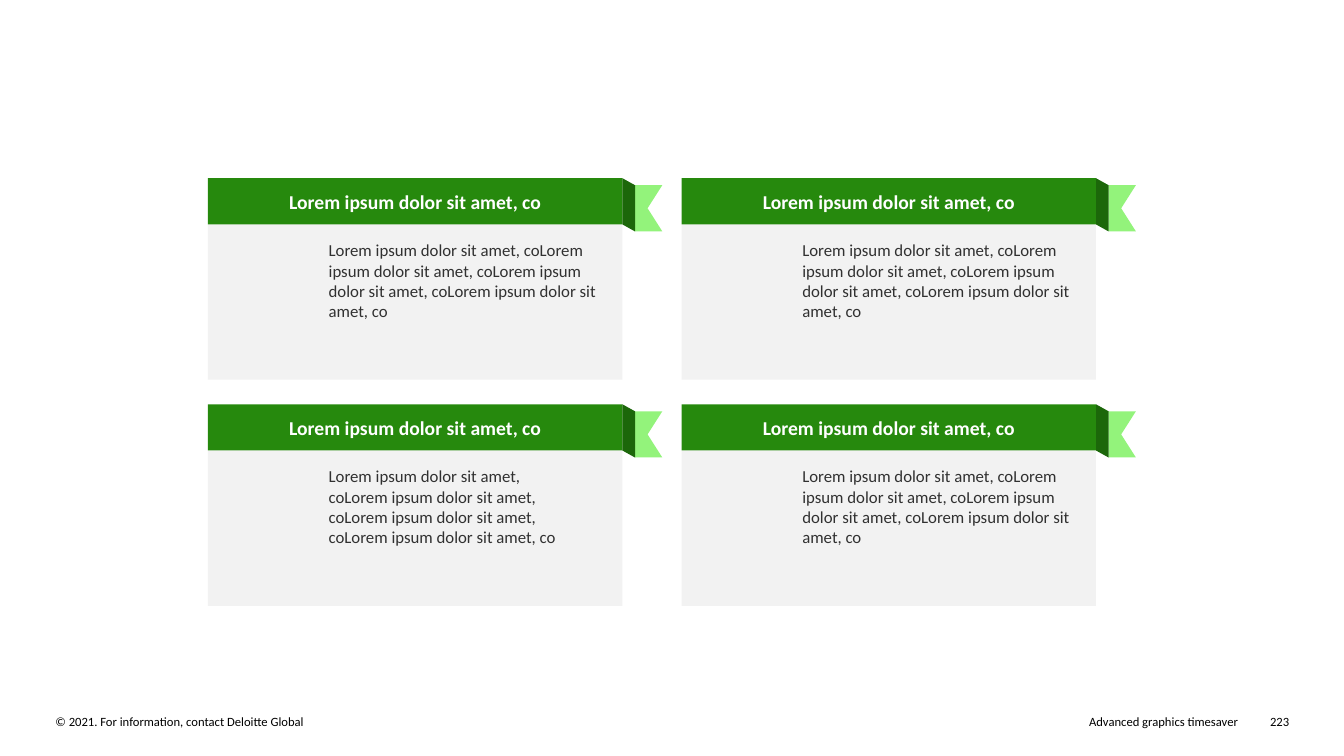
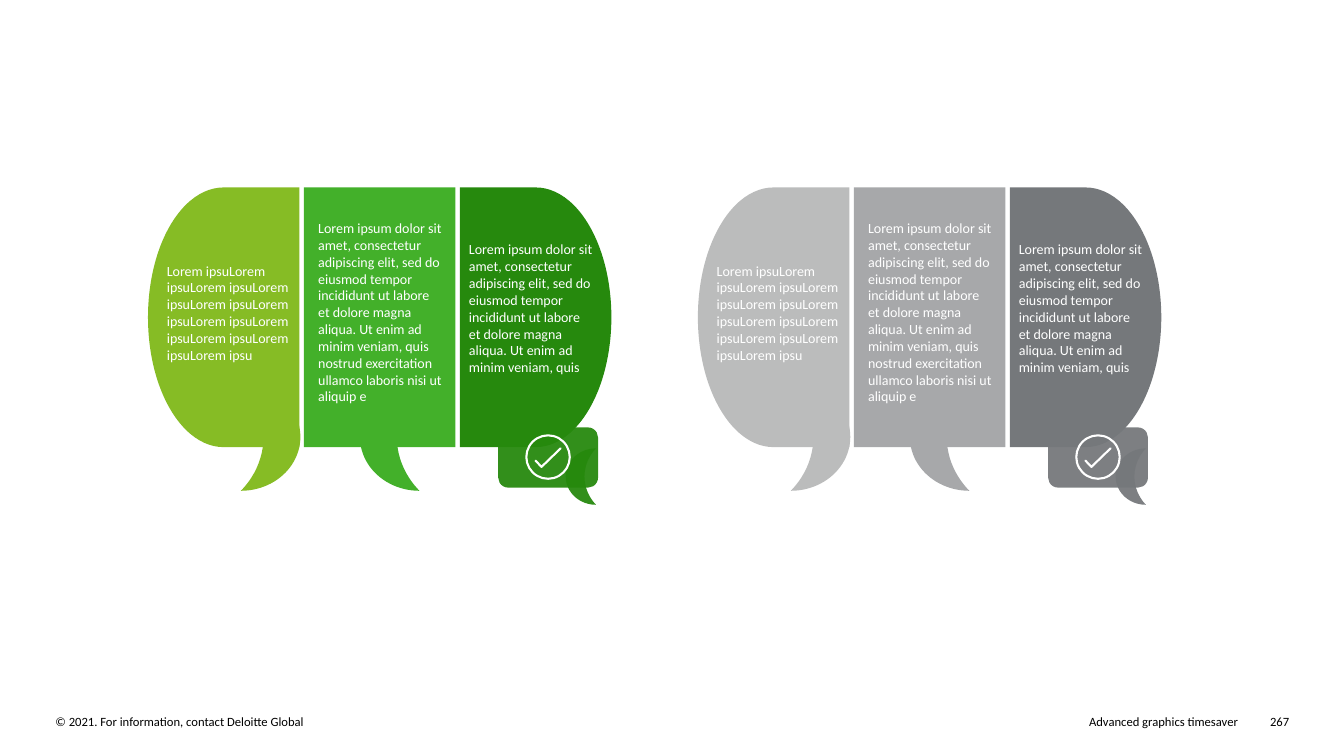
from itertools import product

from lxml.etree import SubElement
from pptx import Presentation
from pptx.dml.color import RGBColor
from pptx.enum.shapes import MSO_SHAPE as SHAPE
from pptx.enum.text import MSO_ANCHOR as ANCHOR, PP_ALIGN as ALIGN
from pptx.oxml.ns import qn
from pptx.util import Pt

FONT = "Calibri"
COLORS = {
    "black": "000000", "white": "FFFFFF", "ink": "313131", "panel": "F2F2F2",
    "green": "26890D", "dark_green": "1C670A", "pale_green": "93F37B",
    "lime": "86BC25", "mid_green": "43B02A",
    "light_grey": "BBBCBC", "mid_grey": "A7A8AA", "dark_grey": "75787B",
}

HEADING = "Lorem ipsum dolor sit amet, co"
CARD_TEXT = HEADING * 4
CARD_LEFT, CARD_TOP, CARD_WIDTH = 148.6, 127.3, 296
HEADER_HEIGHT, BODY_HEIGHT = 33, 111
CARD_STEP_X, CARD_STEP_Y = 338.3, 161.5
FOLD_WIDTH, FOLD_DROP = 9, 5

BUBBLE_LEFT, BUBBLE_TOP, BUBBLE_STEP = 105.7, 133.9, 392.8
PANEL_WIDTH, PANEL_HEIGHT, PANEL_STEP = 108.2, 185.5, 111.4
SHORT_TEXT = "Lorem ipsu" * 11
RIGHT_TEXT = (
    "Lorem ipsum dolor sit amet, consectetur adipiscing elit, sed do eiusmod "
    "tempor incididunt ut labore et dolore magna aliqua. Ut enim ad minim veniam, quis"
)
MIDDLE_TEXT = RIGHT_TEXT + " nostrud exercitation ullamco laboris nisi ut aliquip e"


def rgb(color):
    return RGBColor.from_string(COLORS[color])


def write(frame, text, size, color, align=ALIGN.LEFT, bold=False):
    frame.word_wrap = True
    para = frame.paragraphs[0]
    para.alignment = align
    span = para.add_run()
    span.text = text
    span.font.name = FONT
    span.font.size = Pt(size)
    span.font.bold = bold
    span.font.color.rgb = rgb(color)


def add_text(page, left, top, width, height, text, size, color, align=ALIGN.LEFT):
    box = page.shapes.add_textbox(Pt(left), Pt(top), Pt(width), Pt(height))
    frame = box.text_frame
    frame.margin_left = frame.margin_top = frame.margin_right = frame.margin_bottom = 0
    write(frame, text, size, color, align)


def paint(shape, color, opacity=100):
    shape.shadow.inherit = False
    shape.fill.solid()
    shape.fill.fore_color.rgb = rgb(color)
    shape.line.fill.background()
    if opacity < 100:
        tone = shape.element.spPr.find(qn("a:solidFill"))[0]
        SubElement(tone, qn("a:alpha")).set("val", str(opacity * 1000))


def outline(shape, color, weight):
    """Leave the shape hollow, with a round-ended line."""
    shape.shadow.inherit = False
    shape.fill.background()
    shape.line.color.rgb = rgb(color)
    shape.line.width = Pt(weight)
    shape.element.spPr.find(qn("a:ln")).set("cap", "rnd")


def add_shape(page, kind, left, top, width, height, color, flip=False, opacity=100):
    shape = page.shapes.add_shape(kind, Pt(left), Pt(top), Pt(width), Pt(height))
    paint(shape, color, opacity)
    if flip:
        shape.element.spPr.find(qn("a:xfrm")).set("flipH", "1")
    return shape


def add_path(page, points, close):
    corners = [(Pt(x), Pt(y)) for x, y in points]
    builder = page.shapes.build_freeform(*corners[0])
    builder.add_line_segments(corners[1:], close=close)
    return builder.convert_to_shape()


def add_moon(page, left, top, width, height, color, flip=False, opacity=100):
    moon = add_shape(page, SHAPE.MOON, left, top, width, height, color, flip, opacity)
    moon.adjustments[0] = 0.62


def add_footer(page, number):
    items = (
        (39.6, 422, "© 2021. For information, contact Deloitte Global", ALIGN.LEFT),
        (499, 385.2, "Advanced graphics timesaver", ALIGN.RIGHT),
        (896.4, 24.5, str(number), ALIGN.RIGHT),
    )
    for left, width, text, align in items:
        add_text(page, left, 510, width, 11, text, 9, "black", align)


def add_ribbon(page, left, top):
    """Header band with a fold and a swallow-tail end."""
    header = add_shape(page, SHAPE.RECTANGLE, left, top, CARD_WIDTH, HEADER_HEIGHT, "green")
    header.text_frame.vertical_anchor = ANCHOR.MIDDLE
    write(header.text_frame, HEADING, 14, "white", ALIGN.CENTER, bold=True)

    fold_left = left + CARD_WIDTH
    tail_left, tail_top = fold_left + FOLD_WIDTH, top + FOLD_DROP
    tail_right, tail_bottom = tail_left + 19.5, tail_top + HEADER_HEIGHT
    tail = add_path(page, (
        (tail_right, tail_top), (tail_left, tail_top), (tail_left, tail_bottom),
        (tail_right, tail_bottom), (tail_left + 9, tail_top + HEADER_HEIGHT / 2),
    ), close=True)
    paint(tail, "pale_green")

    length = HEADER_HEIGHT + FOLD_DROP
    shift = (length - FOLD_WIDTH) / 2
    fold = add_shape(page, SHAPE.PARALLELOGRAM, fold_left - shift, top + shift,
                     length, FOLD_WIDTH, "dark_green")
    fold.adjustments[0] = FOLD_DROP / FOLD_WIDTH
    fold.rotation = 90


def add_card(page, left, top, text_width):
    add_shape(page, SHAPE.RECTANGLE, left, top + HEADER_HEIGHT, CARD_WIDTH, BODY_HEIGHT, "panel")
    add_ribbon(page, left, top)
    add_text(page, left + 86.2, top + 44.2, text_width, 58.5, CARD_TEXT, 12, "ink")


def add_check_badge(page, left, top, color):
    add_shape(page, SHAPE.ROUNDED_RECTANGLE, left, top, 71.3, 43, color, opacity=94)
    add_moon(page, left + 48.2, top + 15, 21.6, 40.3, color, opacity=94)
    center_x, center_y, radius = left + 35.6, top + 21.2, 15.5
    tick = add_path(page, [(center_x + x, center_y + y)
                           for x, y in ((-9, 2.5), (-4.7, 7), (9, -6.3))], close=False)
    ring = page.shapes.add_shape(SHAPE.OVAL, Pt(center_x - radius), Pt(center_y - radius),
                                 Pt(2 * radius), Pt(2 * radius))
    for mark in (tick, ring):
        outline(mark, "white", 1.5)


def add_bubble(page, left, colors):
    """Speech bubble of three panels, with tails and a check badge."""
    top = BUBBLE_TOP
    add_moon(page, left + 151.4, top + 139.7, 42.5, 77, colors[1])
    add_moon(page, left + 66.4, top + 139.7, 42.5, 77, colors[0], flip=True)
    kinds = (SHAPE.FLOWCHART_DELAY, SHAPE.RECTANGLE, SHAPE.FLOWCHART_DELAY)
    for index, (kind, color) in enumerate(zip(kinds, colors)):
        add_shape(page, kind, left + index * PANEL_STEP, top, PANEL_WIDTH, PANEL_HEIGHT,
                  color, flip=index == 0)
    texts = (
        (13.5, 53.3, 92, 73, SHORT_TEXT),
        (121.6, 23, 89, 133, MIDDLE_TEXT),
        (229.3, 38.2, 89, 97, RIGHT_TEXT),
    )
    for x, y, width, height, text in texts:
        add_text(page, left + x, top + y, width, height, text, 10, "white")
    add_check_badge(page, left + 250.2, top + 171.4, colors[2])


def add_page(deck, number):
    page = deck.slides.add_slide(deck.slide_layouts[6])
    add_footer(page, number)
    return page


def main():
    deck = Presentation()
    deck.slide_width, deck.slide_height = Pt(960), Pt(540)

    cards = add_page(deck, 223)
    text_widths = (194.4, 194.4, 177, 194.4)
    for (row, column), text_width in zip(product(range(2), repeat=2), text_widths):
        add_card(cards, CARD_LEFT + column * CARD_STEP_X, CARD_TOP + row * CARD_STEP_Y, text_width)

    bubbles = add_page(deck, 267)
    palettes = (("lime", "mid_green", "green"), ("light_grey", "mid_grey", "dark_grey"))
    for index, palette in enumerate(palettes):
        add_bubble(bubbles, BUBBLE_LEFT + index * BUBBLE_STEP, palette)

    deck.save("out.pptx")


if __name__ == "__main__":
    main()
